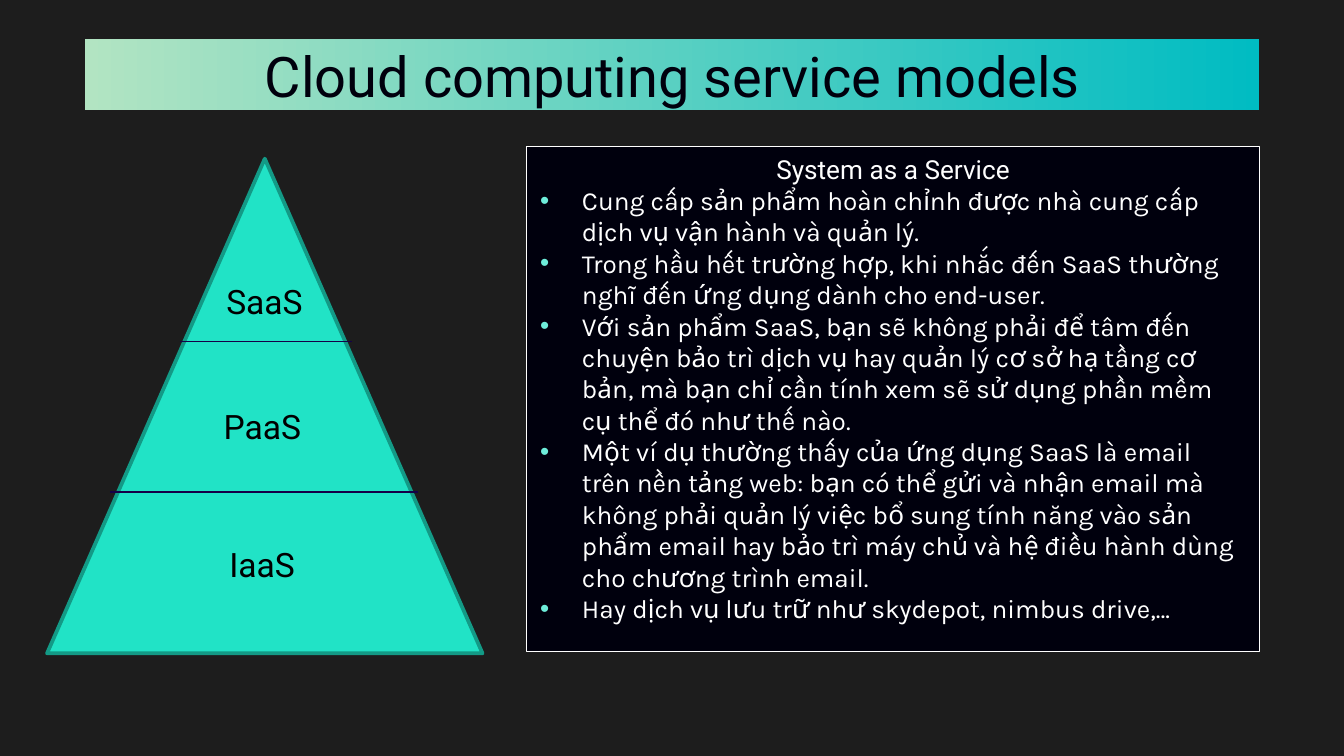
"""Builds a slide on cloud computing service models with a three-level pyramid."""
from lxml.etree import SubElement
from pptx import Presentation
from pptx.dml.color import RGBColor
from pptx.enum.shapes import MSO_CONNECTOR, MSO_SHAPE
from pptx.enum.text import MSO_ANCHOR, PP_ALIGN
from pptx.oxml.ns import qn
from pptx.util import Cm, Pt


def color(value):
    return RGBColor.from_string(value)


def write(paragraph, text, size, font, ink, align):
    paragraph.text = text
    paragraph.alignment = align
    for run in paragraph.runs:
        run.font.size = Pt(size)
        run.font.name = font
        run.font.color.rgb = color(ink)


presentation = Presentation()
presentation.slide_width = Cm(25.4)
presentation.slide_height = Cm(14.29)
slide = presentation.slides.add_slide(presentation.slide_layouts[6])
slide.background.fill.solid()
slide.background.fill.fore_color.rgb = color("1D1D1D")

pyramid = slide.shapes.add_shape(
    MSO_SHAPE.ISOSCELES_TRIANGLE, Cm(0.89), Cm(3), Cm(8.23), Cm(9.35))
title_bar = slide.shapes.add_shape(
    MSO_SHAPE.RECTANGLE, Cm(1.6), Cm(0.74), Cm(22.2), Cm(1.35))
panel = slide.shapes.add_shape(
    MSO_SHAPE.RECTANGLE, Cm(9.96), Cm(2.77), Cm(13.84), Cm(9.55))

for shape, fill, line, width in [
    (pyramid, "21E3C6", "139A86", 2),
    (panel, "00000D", "FFFFFF", 0.5),
]:
    shape.shadow.inherit = False
    shape.fill.solid()
    shape.fill.fore_color.rgb = color(fill)
    shape.line.color.rgb = color(line)
    shape.line.width = Pt(width)

title_bar.shadow.inherit = False
title_bar.line.fill.background()
title_bar.fill.gradient()
title_bar.fill.gradient_angle = 180
for stop, value in zip(title_bar.fill.gradient_stops, ["00BCC2", "B2E4C2"]):
    stop.color.rgb = color(value)

for text, left, top, width, height, size, inset, ink in [
    ("Cloud computing service models", 2.01, 0.53, 21.41, 1.6, 30, 0.25, "00000D"),
    ("SaaS", 3.63, 5.18, 2.74, 1.02, 18, 0.13, "000000"),
    ("PaaS", 3.4, 7.54, 3.12, 1.8, 18, 0.13, "000000"),
    ("IaaS", 3.28, 10.16, 3.35, 1.02, 18, 0.13, "000000"),
]:
    label = slide.shapes.add_textbox(Cm(left), Cm(top), Cm(width), Cm(height))
    label.text_frame.word_wrap = True
    label.text_frame.margin_top = label.text_frame.margin_bottom = Cm(inset)
    write(label.text_frame.paragraphs[0], text, size, "Roboto", ink, PP_ALIGN.CENTER)

for start, end, height in [(2.08, 7.9, 9.3), (3.4, 6.65, 6.45)]:
    divider = slide.shapes.add_connector(
        MSO_CONNECTOR.STRAIGHT, Cm(start), Cm(height), Cm(end), Cm(height))
    divider.line.color.rgb = color("140048")
    divider.line.width = Pt(0.75)
    SubElement(divider.element.spPr, qn("a:effectLst"))

frame = panel.text_frame
frame.word_wrap = True
frame.vertical_anchor = MSO_ANCHOR.TOP
write(frame.paragraphs[0], "System as a Service", 14, "Roboto", "FFFFFF", PP_ALIGN.CENTER)
for text in [
    "Cung cấp sản phẩm hoàn chỉnh được nhà cung cấp dịch vụ vận hành và quản lý.",
    "Trong hầu hết trường hợp, khi nhắc đến SaaS thường nghĩ đến ứng dụng dành cho "
    "end-user.",
    "Với sản phẩm SaaS, bạn sẽ không phải để tâm đến chuyện bảo trì dịch vụ hay quản lý "
    "cơ sở hạ tầng cơ bản, mà bạn chỉ cần tính xem sẽ sử dụng phần mềm cụ thể đó như "
    "thế nào.",
    "Một ví dụ thường thấy của ứng dụng SaaS là email trên nền tảng web: bạn có thể gửi "
    "và nhận email mà không phải quản lý việc bổ sung tính năng vào sản phẩm email hay "
    "bảo trì máy chủ và hệ điều hành dùng cho chương trình email.",
    "Hay dịch vụ lưu trữ như skydepot, nimbus drive,…",
]:
    paragraph = frame.add_paragraph()
    write(paragraph, text, 14, "Karla", "FFFFFF", PP_ALIGN.LEFT)
    properties = paragraph._p.get_or_add_pPr()
    properties.set("marL", str(Cm(0.79)))
    properties.set("indent", str(-Cm(0.79)))
    bullet_color = SubElement(properties, qn("a:buClr"))
    SubElement(bullet_color, qn("a:srgbClr"), val="6EEDDA")
    SubElement(properties, qn("a:buFont"), typeface="Arial")
    SubElement(properties, qn("a:buChar"), char="•")

presentation.save("out.pptx")
